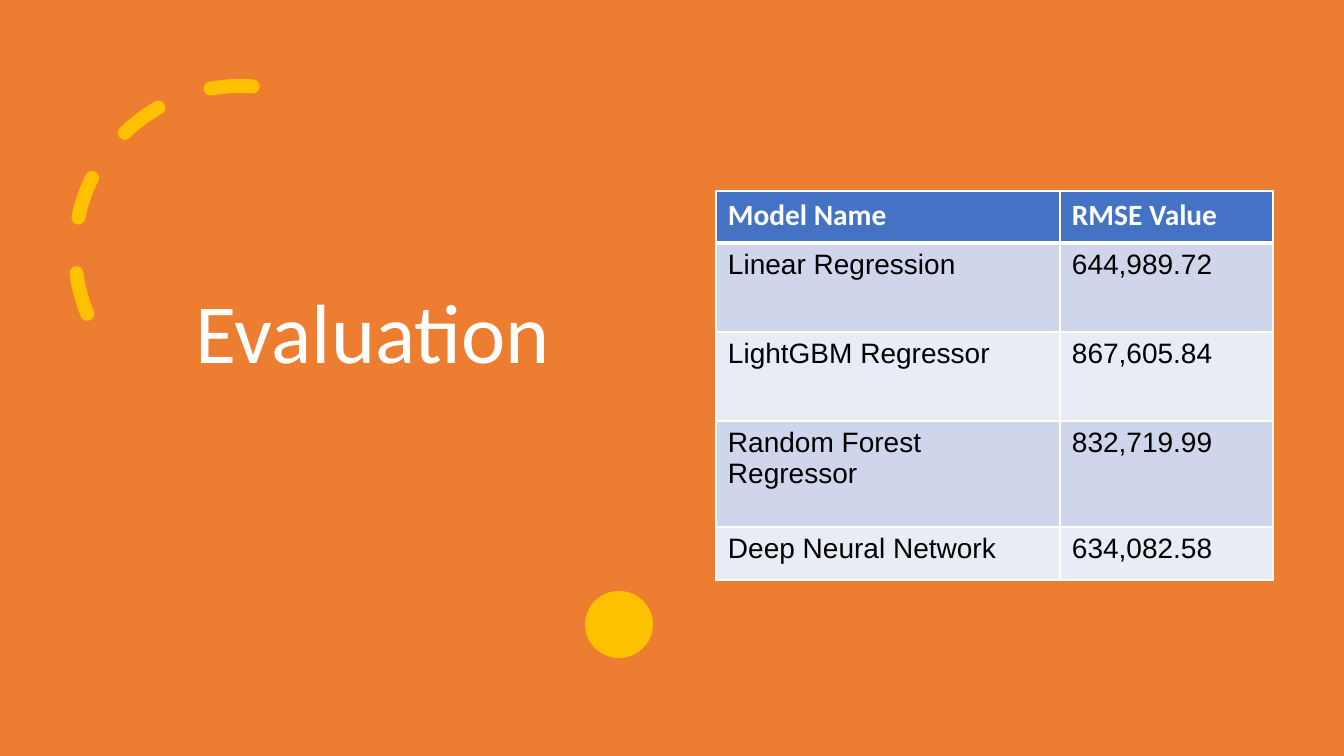
from dataclasses import dataclass

from lxml.etree import SubElement
from pptx import Presentation
from pptx.dml.color import RGBColor
from pptx.enum.dml import MSO_LINE
from pptx.enum.shapes import MSO_SHAPE as SHAPE
from pptx.enum.text import MSO_ANCHOR as ANCHOR, PP_ALIGN as ALIGN
from pptx.oxml.ns import qn
from pptx.util import Emu, Pt


@dataclass(frozen=True)
class Theme:
    """Colours, fonts and type sizes of the slide."""
    back: str = "ED7D31"
    accent: str = "FFC000"
    header: str = "4472C4"
    bands: tuple = ("CFD5EA", "E9EBF5")
    light: str = "FFFFFF"
    dark: str = "000000"
    title_font: str = "Calibri"
    body_font: str = "Arial"
    title_size: int = 60
    header_size: int = 21
    body_size: int = 20


THEME = Theme()
SCALE = 914400 / 100.8
WIDTH, HEIGHT = 1344, 756
COLUMNS = (344, 213)
ROW_HEIGHTS = (52, 89, 89, 106, 53)
ROWS = (
    ("Model Name", "RMSE Value"),
    ("Linear Regression", "644,989.72"),
    ("LightGBM Regressor", "867,605.84"),
    ("Random Forest Regressor", "832,719.99"),
    ("Deep Neural Network", "634,082.58"),
)


def px(n):
    """Turn pixels into EMU."""
    return Emu(round(n * SCALE))


def rgb(color):
    """Turn a hex string into a colour."""
    return RGBColor.from_string(color)


def set_all(obj, values):
    """Set the attributes of an object from a dict."""
    for name, value in values.items():
        setattr(obj, name, value)


def write(tf, text, size, font, color, bold=False):
    """Write one formatted run and return its paragraph."""
    p = tf.paragraphs[0]
    r = p.add_run()
    r.text = text
    set_all(r.font, dict(size=Pt(size), name=font, bold=bold))
    r.font.color.rgb = rgb(color)
    return p


def add_solid(s, kind, box, color):
    """Add a filled shape without outline."""
    sp = s.shapes.add_shape(kind, *map(px, box))
    sp.shadow.inherit = False
    sp.fill.solid()
    sp.fill.fore_color.rgb = rgb(color)
    sp.line.fill.background()
    return sp


def add_dashed_arc(s, box):
    """Add the round-capped dashed arc."""
    sp = s.shapes.add_shape(SHAPE.ARC, *map(px, box))
    sp.shadow.inherit = False
    sp.fill.background()
    sp.adjustments[0] = 144.555
    sp.rotation = 276.7
    set_all(sp.line, dict(width=Pt(10), dash_style=MSO_LINE.DASH))
    sp.line.color.rgb = rgb(THEME.accent)
    sp.line._get_or_add_ln().set("cap", "rnd")


def add_title_panel(s, box):
    """Add the arc, the title and the dot within the left panel."""
    x, y, w, h = box
    add_dashed_arc(s, (x - 18, y - 38, 330, 330))
    tf = s.shapes.add_textbox(*map(px, (x, y, w, 263))).text_frame
    set_all(tf, dict(word_wrap=True, vertical_anchor=ANCHOR.BOTTOM))
    p = write(tf, "Evaluation", THEME.title_size, THEME.title_font, THEME.light)
    set_all(p, dict(alignment=ALIGN.CENTER, line_spacing=0.9))
    add_solid(s, SHAPE.OVAL, (x + w - 68, y + h - 67, 68, 67), THEME.accent)


def add_borders(cell, bottom):
    """Give a cell white borders with the given bottom width."""
    tc_pr = cell._tc.get_or_add_tcPr()
    for i, (side, width) in enumerate(zip("LRTB", (1, 1, 1, bottom))):
        ln = SubElement(tc_pr, qn(f"a:ln{side}"), w=str(Pt(width)))
        fill = SubElement(ln, qn("a:solidFill"))
        SubElement(fill, qn("a:srgbClr"), val=THEME.light)
        tc_pr.insert(i, ln)


def fill_cell(cell, text, row):
    """Format one cell according to its row."""
    head = row == 0
    set_all(cell, dict(margin_left=px(12), margin_right=px(12),
                       margin_top=px(6), margin_bottom=px(6)))
    cell.fill.solid()
    color = THEME.header if head else THEME.bands[(row - 1) % 2]
    cell.fill.fore_color.rgb = rgb(color)
    if head:
        style = (THEME.header_size, THEME.title_font, THEME.light, True)
    else:
        style = (THEME.body_size, THEME.body_font, THEME.dark)
    write(cell.text_frame, text, *style)
    add_borders(cell, 3 if head else 1)


def add_scores(s, box):
    """Add the table of model errors."""
    table = s.shapes.add_table(len(ROWS), len(COLUMNS), *map(px, box)).table
    for column, width in zip(table.columns, COLUMNS):
        column.width = px(width)
    for i, (row, height) in enumerate(zip(table.rows, ROW_HEIGHTS)):
        row.height = px(height)
        for cell, text in zip(row.cells, ROWS[i]):
            fill_cell(cell, text, i)


def add_evaluation_slide(prs):
    """Build the evaluation slide."""
    s = prs.slides.add_slide(prs.slide_layouts[6])
    add_solid(s, SHAPE.RECTANGLE, (0, 0, WIDTH, HEIGHT), THEME.back)
    add_title_panel(s, (93, 124, 560, 534))
    add_scores(s, (716, 191, sum(COLUMNS), sum(ROW_HEIGHTS)))


def main():
    """Create and save the presentation."""
    prs = Presentation()
    set_all(prs, dict(slide_width=px(WIDTH), slide_height=px(HEIGHT)))
    add_evaluation_slide(prs)
    prs.save("out.pptx")


if __name__ == "__main__":
    main()
